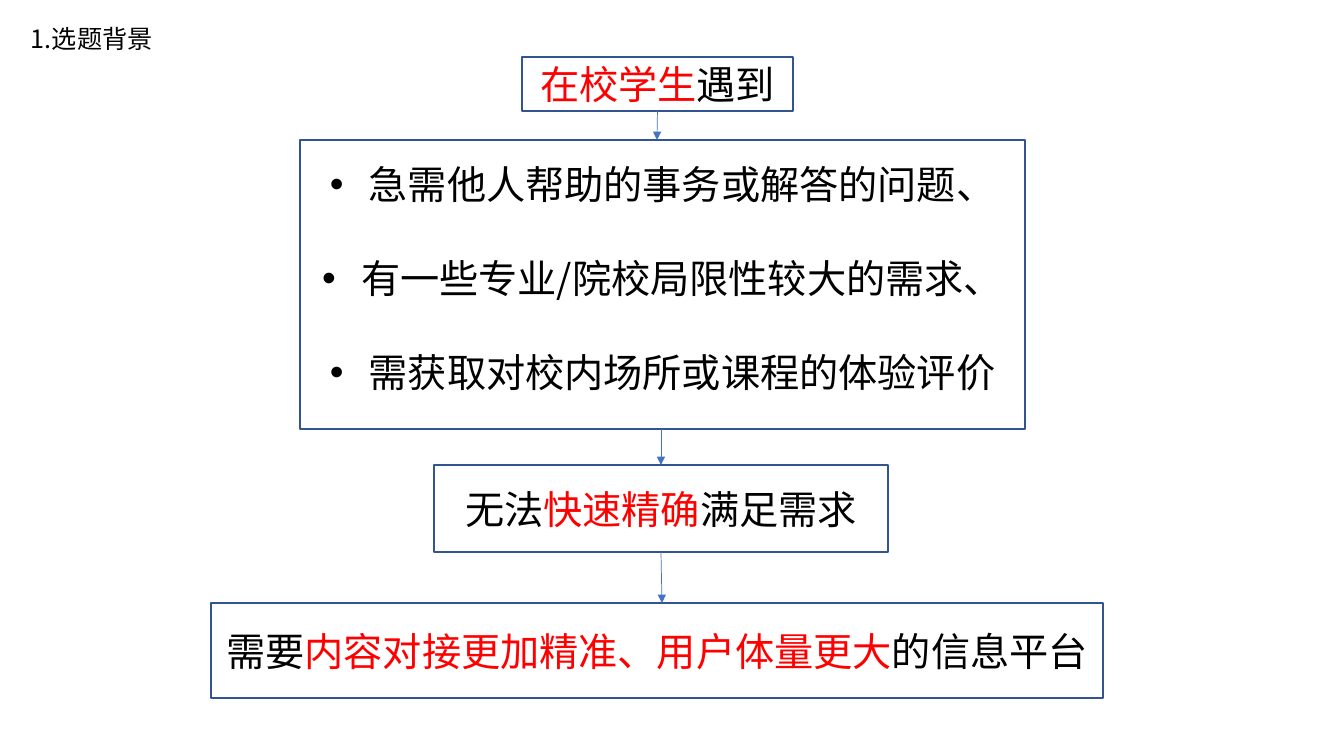
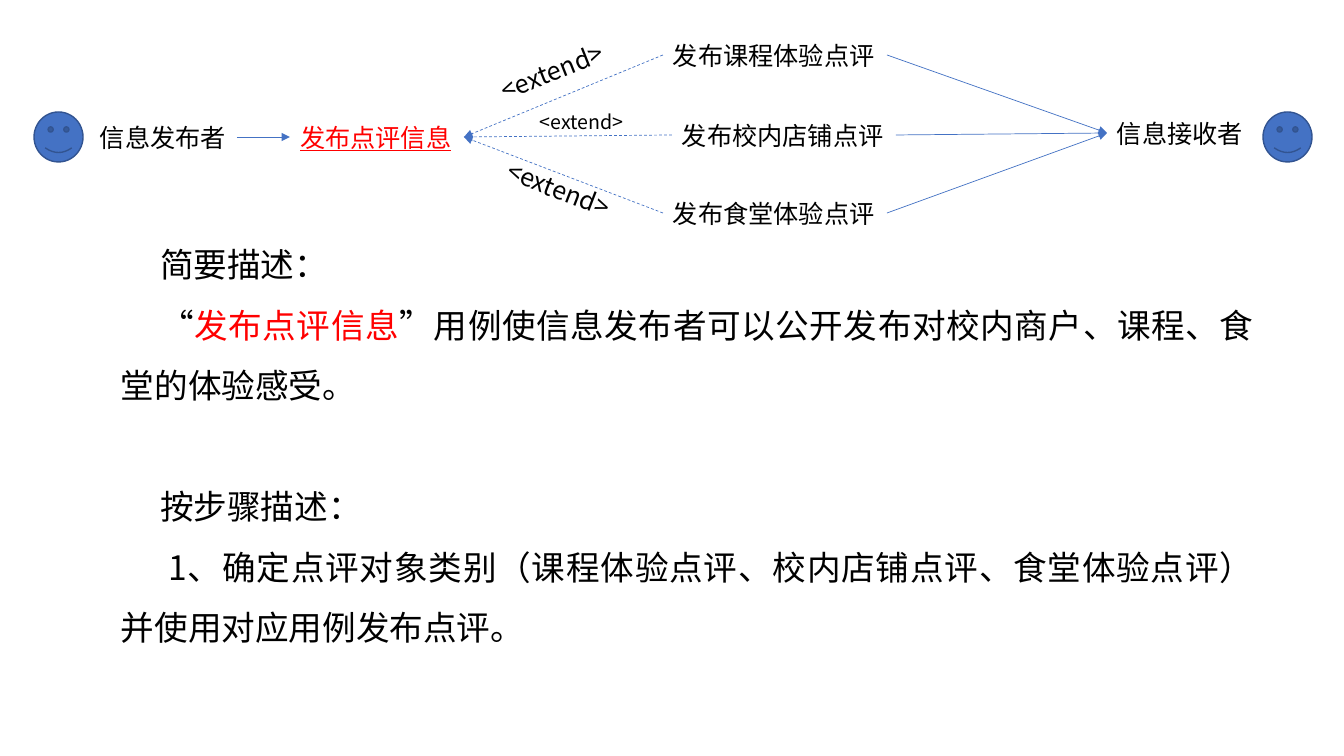
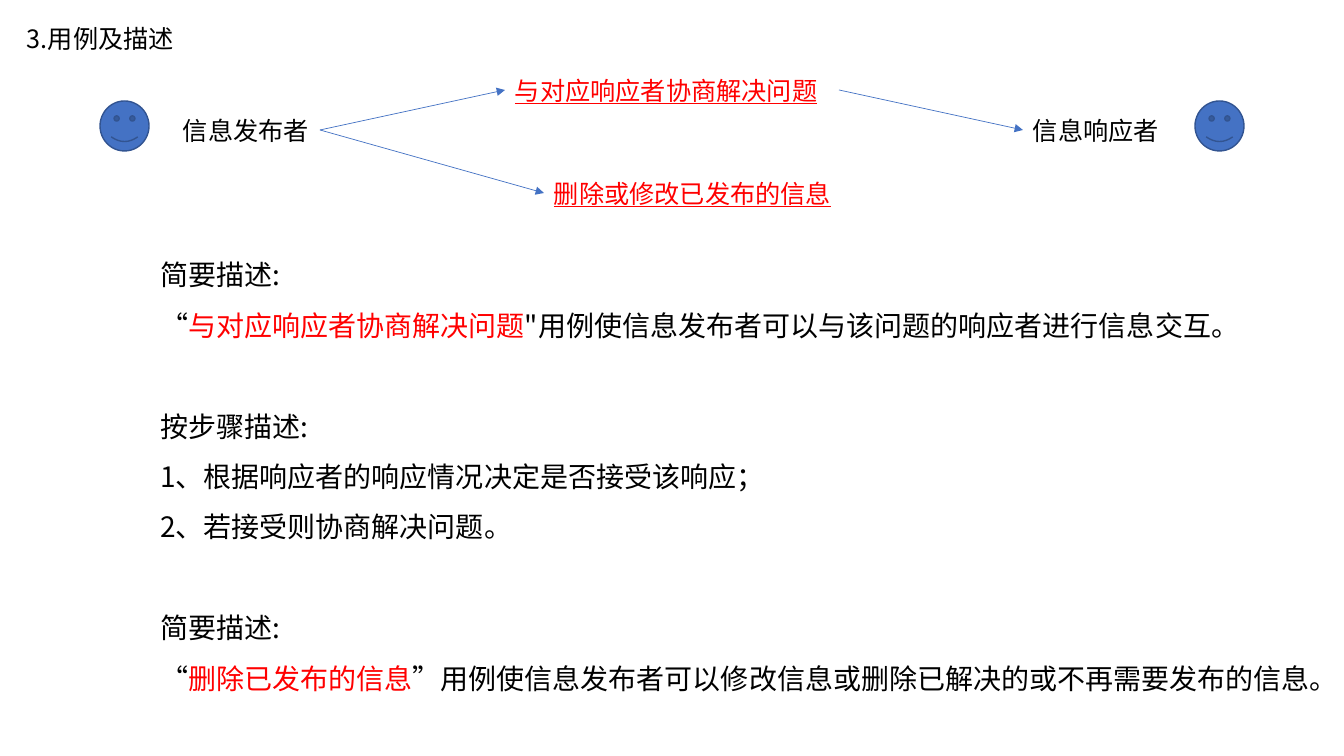
from dataclasses import dataclass
from typing import NamedTuple

from lxml.etree import SubElement
from pptx import Presentation
from pptx.dml.color import RGBColor
from pptx.enum.dml import MSO_LINE
from pptx.enum.shapes import MSO_CONNECTOR, MSO_SHAPE
from pptx.enum.text import MSO_ANCHOR, MSO_AUTO_SIZE, PP_ALIGN
from pptx.oxml.ns import qn
from pptx.util import Emu, Pt

COLORS = {"text": "000000", "accent": "FF0000", "arrow": "4472C4", "outline": "325491"}
FONT = "Noto Sans CJK SC"
LINE_HEIGHT = 1.2
LABEL_SIZE, FLOW_SIZE = 18, 28
LABEL_H, INSET, INDENT = 40, 10, 39
TOP, LEFT, BOTTOM, RIGHT = range(4)


class Box(NamedTuple):
    x: int
    y: int
    w: int
    h: int


class Point(NamedTuple):
    x: int
    y: int


class Joint(NamedTuple):
    shape: object
    side: int


@dataclass
class Label:
    text: str
    x: int
    y: int
    w: int
    h: int = LABEL_H
    size: int = LABEL_SIZE
    underline: bool = False
    rotation: float = 0


def px(n: float) -> Emu:
    return Emu(round(n * 914400 / 100.8))


def color(name: str) -> RGBColor:
    return RGBColor.from_string(COLORS[name])


def place(sp, box: Box) -> None:
    sp.left, sp.top, sp.width, sp.height = map(px, box)


def set_frame(sp, anchor=MSO_ANCHOR.MIDDLE, left=INSET, top=0, right=0, wrap=True):
    tf = sp.text_frame
    tf.word_wrap = wrap
    tf.auto_size = MSO_AUTO_SIZE.NONE
    tf.vertical_anchor = anchor
    tf.margin_left, tf.margin_top, tf.margin_right = px(left), px(top), px(right)
    tf.margin_bottom = 0
    return tf


def write(p, text: str, size: int, align=PP_ALIGN.LEFT, underline: bool = False) -> None:
    """Fill a paragraph; every second part between bars is in the accent colour."""
    p.alignment = align
    p.space_before = p.space_after = Pt(0)
    p.font.size, p.font.name, p.font.bold = Pt(size), FONT, False
    p.font.color.rgb = color("text")
    if underline:
        p.font.underline = True
    SubElement(p._p.pPr.find(qn("a:defRPr")), qn("a:ea"), typeface=FONT)
    for i, part in enumerate(text.split("|")):
        if part:
            r = p.add_run()
            r.text = part
            if i % 2:
                r.font.color.rgb = color("accent")


def set_indent(p, left: int, first: int, bullet: str = "") -> None:
    pPr = p._p.get_or_add_pPr()
    pPr.set("marL", str(px(left)))
    pPr.set("indent", str(px(first)))
    mark = pPr.makeelement(qn("a:buChar" if bullet else "a:buNone"), {"char": bullet} if bullet else {})
    pPr.find(qn("a:defRPr")).addprevious(mark)


def set_outline(sp) -> None:
    sp.line.color.rgb = color("outline")
    sp.line.width = Pt(1)


def add_slide(prs, title: str = "", x: int = 0, w: int = 0):
    slide = prs.slides.add_slide(prs.slide_layouts[1])
    sp = slide.shapes.title
    if title:
        place(sp, Box(x, 18, w, LABEL_H))
        write(set_frame(sp).paragraphs[0], title, LABEL_SIZE)
    else:
        sp._element.getparent().remove(sp._element)
    return slide


def add_label(slide, label: Label):
    sp = slide.shapes.add_textbox(*map(px, (label.x, label.y, label.w, label.h)))
    sp.rotation = label.rotation
    tf = set_frame(sp, wrap=False)
    write(tf.paragraphs[0], label.text, label.size, underline=label.underline)
    return sp


def add_flow_box(slide, text: str, box: Box):
    sp = slide.shapes.add_shape(MSO_SHAPE.RECTANGLE, *map(px, box))
    sp.shadow.inherit = False
    sp.fill.background()
    set_outline(sp)
    write(set_frame(sp, left=0).paragraphs[0], text, FLOW_SIZE, PP_ALIGN.CENTER)
    return sp


def add_smiley(slide, x: int, y: int) -> None:
    sp = slide.shapes.add_shape(MSO_SHAPE.SMILEY_FACE, *map(px, (x, y, 49, 50)))
    sp.shadow.inherit = False
    sp.fill.solid()
    sp.fill.fore_color.rgb = color("arrow")
    set_outline(sp)


def add_arrow(slide, start: Point | Joint, end: Point | Joint, dashed: bool = False) -> None:
    ends = [e if isinstance(e, Point) else Point(0, 0) for e in (start, end)]
    cn = slide.shapes.add_connector(MSO_CONNECTOR.STRAIGHT, *(px(n) for e in ends for n in e))
    if isinstance(start, Joint):
        cn.begin_connect(start.shape, start.side)
    if isinstance(end, Joint):
        cn.end_connect(end.shape, end.side)
    cn.line.color.rgb = color("arrow")
    cn.line.width = Pt(0.5)
    if dashed:
        cn.line.dash_style = MSO_LINE.DASH
    SubElement(cn.line._get_or_add_ln(), qn("a:tailEnd"), type="triangle")
    SubElement(cn._element.spPr, qn("a:effectLst"))


def add_description(slide, sections: list[list[str]], size: int, box: Box, right: int) -> None:
    """Put sections into the body, one empty line's height apart."""
    sp = slide.placeholders[1]
    place(sp, box)
    tf = set_frame(sp, MSO_ANCHOR.TOP, top=8, right=right)
    pitch = Pt(size * LINE_HEIGHT * 1.5)
    p = None
    for i, section in enumerate(sections):
        for j, text in enumerate(section):
            p = tf.add_paragraph() if p else tf.paragraphs[0]
            write(p, text, size, PP_ALIGN.JUSTIFY)
            set_indent(p, 0, INDENT)
            p.line_spacing = pitch
            if i and not j:
                p.space_before = pitch


def build_background(prs) -> None:
    slide = add_slide(prs, "1.选题背景", 21, 244)
    needs = slide.placeholders[1]
    place(needs, Box(300, 140, 725, 289))
    set_outline(needs)
    tf = set_frame(needs, MSO_ANCHOR.TOP, left=0, top=20)
    pitch = Pt(FLOW_SIZE * LINE_HEIGHT)
    for i, text in enumerate((
        "急需他人帮助的事务或解答的问题、",
        "有一些专业/院校局限性较大的需求、",
        "需获取对校内场所或课程的体验评价",
    )):
        p = tf.add_paragraph() if i else tf.paragraphs[0]
        write(p, text, FLOW_SIZE, PP_ALIGN.CENTER)
        set_indent(p, INDENT, -INDENT, "•")
        p.line_spacing = pitch
        if i:
            p.space_before = pitch

    students = add_flow_box(slide, "|在校学生|遇到", Box(522, 57, 271, 54))
    unmet = add_flow_box(slide, "无法|快速精确|满足需求", Box(434, 465, 454, 87))
    add_flow_box(slide, "需要|内容对接更加精准、用户体量更大|的信息平台", Box(211, 603, 892, 95))
    add_arrow(slide, Joint(students, BOTTOM), Point(657, 140))
    add_arrow(slide, Point(661, 429), Joint(unmet, TOP))
    add_arrow(slide, Joint(unmet, BOTTOM), Point(662, 603))


def build_review_case(prs) -> None:
    slide = add_slide(prs)
    sender = add_label(slide, Label("信息发布者", 90, 117, 147))
    case = add_label(slide, Label("|发布点评信息", 290, 117, 174, underline=True))
    receiver = add_label(slide, Label("信息接收者", 1107, 113, 147))
    add_arrow(slide, Joint(sender, RIGHT), Joint(case, LEFT))
    for label in (
        Label("发布课程体验点评", 663, 35, 224),
        Label("发布校内店铺点评", 672, 115, 224),
        Label("发布食堂体验点评", 663, 193, 224),
    ):
        sp = add_label(slide, label)
        add_arrow(slide, Joint(sp, LEFT), Joint(case, RIGHT), dashed=True)
        add_arrow(slide, Joint(sp, RIGHT), Joint(receiver, LEFT))
    for label in (
        Label("<extend>", 488, 51, 128, rotation=338.3),
        Label("<extend>", 530, 105, 105, 34, size=14),
        Label("<extend>", 495, 169, 128, rotation=21.3),
    ):
        add_label(slide, label)
    for x in (34, 1263):
        add_smiley(slide, x, 112)
    add_description(slide, [
        ["简要描述：",
         "“|发布点评信息|”用例使信息发布者可以公开发布对校内商户、课程、食堂的体验感受。"],
        ["按步骤描述：",
         " 1、确定点评对象类别（课程体验点评、校内店铺点评、食堂体验点评）并使用对应用例发布点评。"],
    ], 24, Box(111, 216, 1153, 468), INSET)


def build_negotiation_case(prs) -> None:
    slide = add_slide(prs, "3.用例及描述", 17, 188)
    sender = add_label(slide, Label("信息发布者", 173, 110, 147))
    negotiate = add_label(slide, Label("|与对应响应者协商解决问题", 505, 70, 334, underline=True))
    edit = add_label(slide, Label("|删除或修改已发布的信息", 544, 173, 300, underline=True))
    responder = add_label(slide, Label("信息响应者", 1023, 110, 147))
    for start, end in ((sender, negotiate), (sender, edit), (negotiate, responder)):
        add_arrow(slide, Joint(start, RIGHT), Joint(end, LEFT))
    for x in (100, 1195):
        add_smiley(slide, x, 101)
    add_description(slide, [
        ["简要描述:",
         "“|与对应响应者协商解决问题|\"用例使信息发布者可以与该问题的响应者进行信息交互。"],
        ["按步骤描述:",
         "1、根据响应者的响应情况决定是否接受该响应；",
         "2、若接受则协商解决问题。"],
        ["简要描述:",
         "“|删除已发布的信息|”用例使信息发布者可以修改信息或删除已解决的或不再需要发布的信息。"],
    ], 20, Box(111, 233, 1233, 523), 0)


def main() -> None:
    prs = Presentation()
    prs.slide_width, prs.slide_height = px(1344), px(756)
    build_background(prs)
    build_review_case(prs)
    build_negotiation_case(prs)
    prs.save("out.pptx")


if __name__ == "__main__":
    main()
